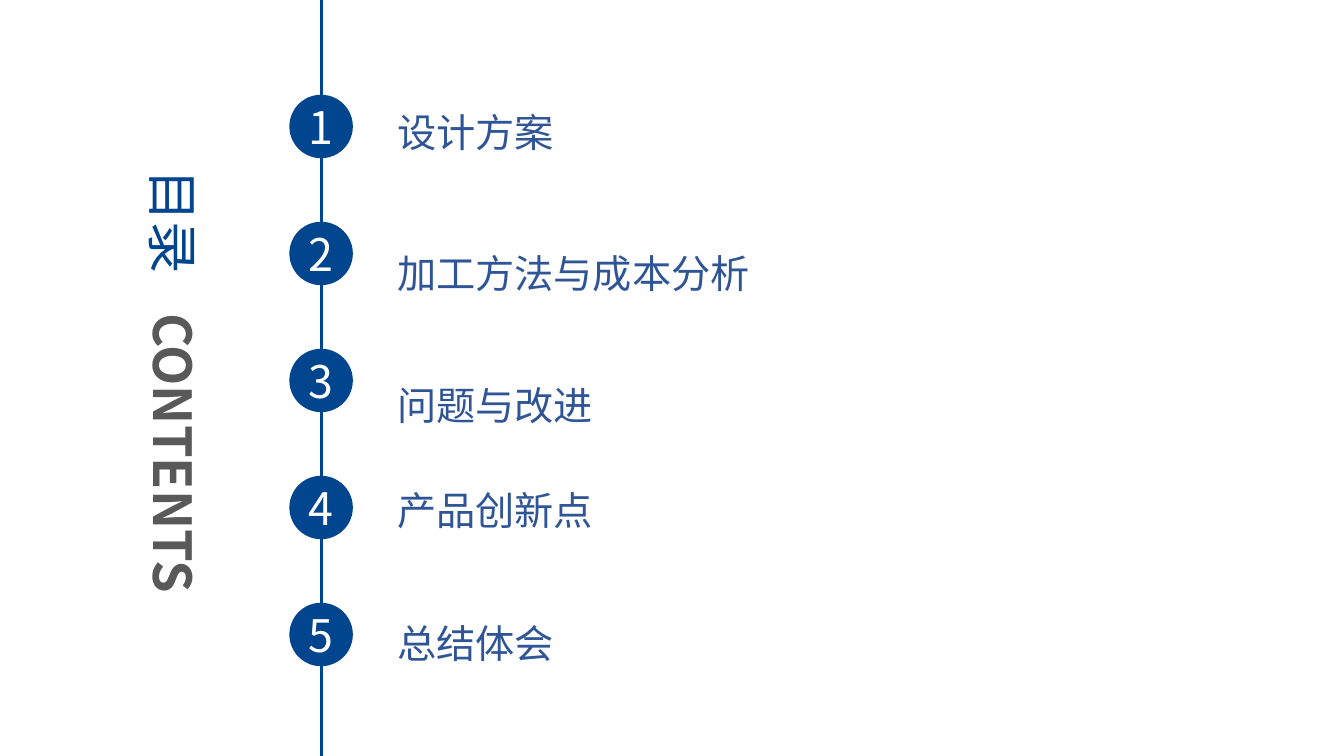
from dataclasses import dataclass
from typing import Any

import lxml.etree
import pptx
import pptx.dml.color
import pptx.enum.shapes
import pptx.enum.text
import pptx.oxml.ns
import pptx.util

Inches = pptx.util.Inches
Align = pptx.enum.text.PP_ALIGN
Anchor = pptx.enum.text.MSO_ANCHOR
AutoSize = pptx.enum.text.MSO_AUTO_SIZE

FONT = "Noto Sans CJK SC"
NAVY = "01458E"
BLUE = "2F5597"
GREY = "595959"
WHITE = "FFFFFF"

AXIS = 3.19
MARKER_LEFT = 2.87
MARKER_SIZE = 0.63
FIRST_MARKER_TOP = 0.94
MARKER_STEP = 1.26
ENTRY_LEFT = 3.84
ENTRY_HEIGHT = 0.81


@dataclass
class Entry:
    text: str
    top: float
    width: float = 5.19


@dataclass
class Style:
    size: float
    color: str
    bold: bool = False
    align: Any = Align.LEFT
    spacing: float = 1.0


ENTRIES = [
    Entry("设计方案", 0.79),
    Entry("加工方法与成本分析", 2.19),
    Entry("问题与改进", 3.5),
    Entry("产品创新点", 4.54, 6.95),
    Entry("总结体会", 5.86),
]
TITLE_STYLE = Style(37.4, NAVY)
SUBTITLE_STYLE = Style(37.4, GREY, bold=True)
MARKER_STYLE = Style(32, WHITE, align=Align.CENTER)
ENTRY_STYLE = Style(28, BLUE, spacing=1.5)
HEADING_FRAME = {
    "word_wrap": False,
    "auto_size": AutoSize.SHAPE_TO_FIT_TEXT,
    "vertical_anchor": Anchor.TOP,
}
ENTRY_FRAME = {**HEADING_FRAME, "word_wrap": True}
MARKER_FRAME = {"word_wrap": True, "vertical_anchor": Anchor.MIDDLE}


def apply(target: Any, values: dict[str, Any]) -> None:
    for name, value in values.items():
        setattr(target, name, value)


def color(value: str) -> pptx.dml.color.RGBColor:
    return pptx.dml.color.RGBColor.from_string(value)


def write(box: Any, text: str, style: Style, frame: dict[str, Any]) -> None:
    apply(box.text_frame, frame)
    para = box.text_frame.paragraphs[0]
    apply(para, {"alignment": style.align, "line_spacing": style.spacing})
    span = para.add_run()
    span.text = text
    apply(span.font, {"name": FONT, "size": pptx.util.Pt(style.size), "bold": style.bold})
    span.font.color.rgb = color(style.color)
    latin = span.font._element.find(pptx.oxml.ns.qn("a:latin"))
    east_asian = lxml.etree.Element(pptx.oxml.ns.qn("a:ea"), typeface=FONT)
    latin.addnext(east_asian)


def place(box: Any, left: float, top: float, width: float, height: float) -> None:
    lengths = {"left": left, "top": top, "width": width, "height": height}
    apply(box, {name: Inches(value) for name, value in lengths.items()})


def draw_headings(page: Any) -> None:
    title = page.shapes.title
    place(title, 1.1, 1.84, 1.25, 0.73)
    subtitle = page.shapes.add_textbox(0, 0, 0, 0)
    place(subtitle, 0.16, 4.21, 3.13, 0.73)
    for box in (title, subtitle):
        box.rotation = 90
    write(title, "目录", TITLE_STYLE, HEADING_FRAME)
    write(subtitle, "CONTENTS", SUBTITLE_STYLE, HEADING_FRAME)


def draw_axis(page: Any, height: int) -> None:
    axis = page.shapes.add_connector(
        pptx.enum.shapes.MSO_CONNECTOR.STRAIGHT, Inches(AXIS), 0, Inches(AXIS), height
    )
    axis.line.color.rgb = color(NAVY)
    axis.line.width = pptx.util.Pt(1.75)
    lxml.etree.SubElement(axis._element.spPr, pptx.oxml.ns.qn("a:effectLst"))


def draw_marker(page: Any, number: int) -> None:
    marker = page.shapes.add_shape(pptx.enum.shapes.MSO_SHAPE.OVAL, 0, 0, 0, 0)
    top = FIRST_MARKER_TOP + (number - 1) * MARKER_STEP
    place(marker, MARKER_LEFT, top, MARKER_SIZE, MARKER_SIZE)
    marker.shadow.inherit = False
    marker.fill.solid()
    marker.fill.fore_color.rgb = color(NAVY)
    marker.line.fill.background()
    write(marker, str(number), MARKER_STYLE, MARKER_FRAME)


def draw_entry(page: Any, entry: Entry) -> None:
    box = page.shapes.add_textbox(0, 0, 0, 0)
    place(box, ENTRY_LEFT, entry.top, entry.width, ENTRY_HEIGHT)
    write(box, entry.text, ENTRY_STYLE, ENTRY_FRAME)


def main() -> None:
    deck = pptx.Presentation()
    apply(deck, {"slide_width": Inches(13.33), "slide_height": Inches(7.5)})
    page = deck.slides.add_slide(deck.slide_layouts.get_by_name("Title Only"))
    draw_headings(page)
    draw_axis(page, deck.slide_height)
    for number, entry in enumerate(ENTRIES, start=1):
        draw_marker(page, number)
        draw_entry(page, entry)
    deck.save("out.pptx")


if __name__ == "__main__":
    main()
